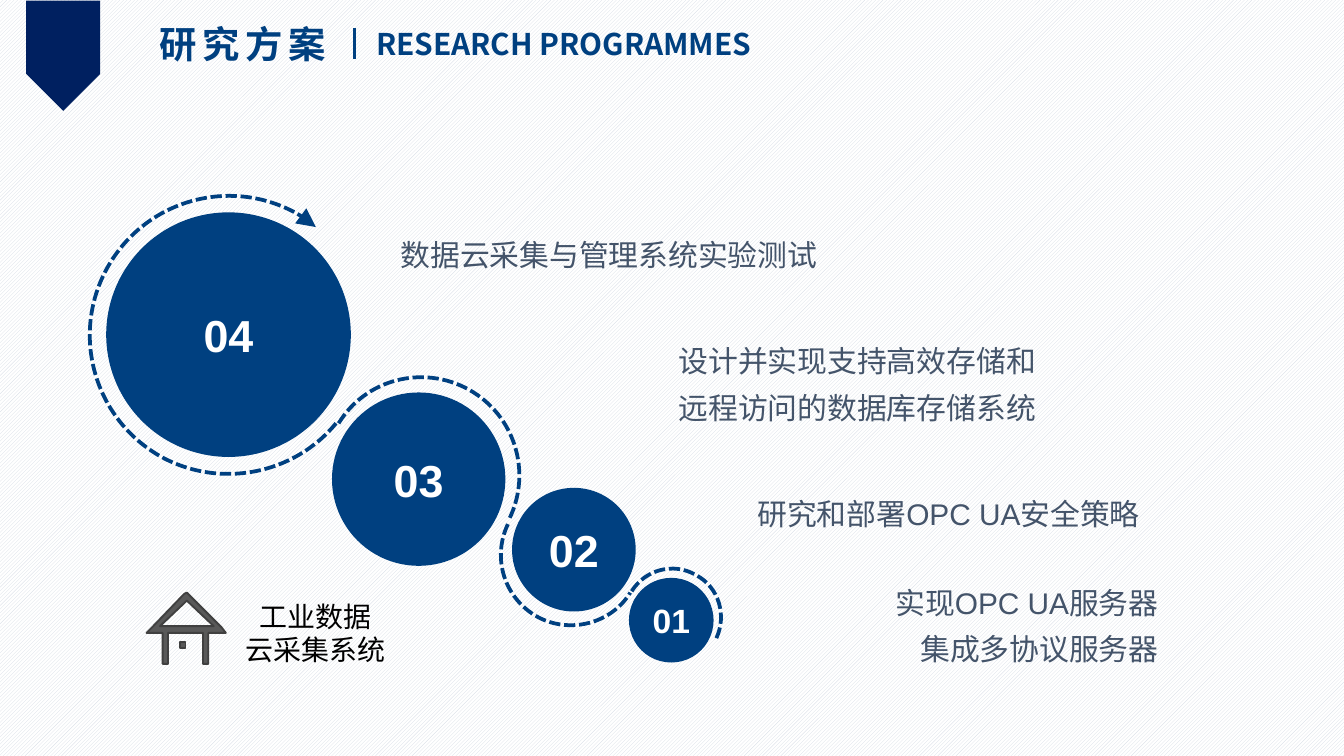
from lxml import etree
from pptx import Presentation
from pptx.dml.color import RGBColor
from pptx.enum.dml import MSO_LINE, MSO_PATTERN
from pptx.enum.shapes import MSO_CONNECTOR, MSO_SHAPE
from pptx.enum.text import MSO_ANCHOR, MSO_AUTO_SIZE, PP_ALIGN
from pptx.oxml.ns import qn
from pptx.util import Inches, Pt

BLUE, NAVY, SLATE = "004080", "002060", "44546A"
CJK = "Noto Sans CJK SC"
LEFT, CENTER, RIGHT, JUSTIFY = PP_ALIGN.LEFT, PP_ALIGN.CENTER, PP_ALIGN.RIGHT, PP_ALIGN.JUSTIFY

# Content: (label, left, top, diameter, size)
STEPS = [
    ("04", 0.79, 1.58, 1.82, 24),
    ("03", 2.47, 2.92, 1.29, 24),
    ("02", 3.81, 3.63, 0.92, 24),
    ("01", 4.68, 4.30, 0.63, 18),
]
# (lines, box, alignment)
TASKS = [
    (["数据云采集与管理系统实验测试"], (2.91, 1.64, 3.48, 0.42), JUSTIFY),
    (["研究和部署OPC UA安全策略"], (4.25, 3.57, 4.3, 0.42), RIGHT),
    (["设计并实现支持高效存储和", "远程访问的数据库存储系统"], (4.08, 2.43, 3.7, 0.77), RIGHT),
    (["实现OPC UA服务器", "集成多协议服务器"], (5.57, 4.23, 3.12, 0.77), RIGHT),
]
# Dashed arcs: a start point, then three points for each cubic curve
ARCS = [
    [(2.5, 3.15), (2.19, 3.53), (1.64, 3.64), (1.2, 3.4), (0.7, 3.12), (0.52, 2.49), (0.8, 1.99),
     (1.08, 1.49), (1.71, 1.31), (2.21, 1.59), (2.26, 1.62), (2.31, 1.65), (2.35, 1.69)],
    [(2.52, 3.15), (2.72, 2.82), (3.15, 2.71), (3.49, 2.9), (3.83, 3.09), (3.96, 3.51), (3.79, 3.86)],
    [(3.78, 3.9), (3.66, 4.15), (3.75, 4.45), (4, 4.59), (4.24, 4.72), (4.55, 4.64), (4.69, 4.41)],
    [(4.7, 4.4), (4.8, 4.24), (5.01, 4.18), (5.18, 4.28), (5.35, 4.37), (5.41, 4.58), (5.33, 4.75)],
]
HOUSE = [
    [(1.38, 4.78), (1.34, 4.78), (1.34, 4.82), (1.38, 4.82)],  # window
    [(1.19, 4.66), (1.39, 4.47), (1.59, 4.66)],  # gable
    [(1.39, 4.41), (1.37, 4.42), (1.13, 4.67), (1.09, 4.71), (1.21, 4.71), (1.21, 4.94),
     (1.25, 4.94), (1.25, 4.71), (1.51, 4.71), (1.51, 4.94), (1.55, 4.94), (1.55, 4.71),
     (1.68, 4.71), (1.65, 4.67), (1.4, 4.42)],  # roof and walls
]


def rgb(color):
    return RGBColor.from_string(color)


def inches(values):
    return [Inches(v) for v in values]


def write(tf, lines, size, color, font, align=LEFT, bold=False, spacing=1.0, track=0):
    for i, line in enumerate(lines):
        p = tf.paragraphs[0] if i == 0 else tf.add_paragraph()
        p.alignment, p.line_spacing = align, spacing
        r = p.add_run()
        r.text = line
        f = r.font
        f.name, f.size, f.bold, f.color.rgb = font, Pt(size), bold, rgb(color)
        rPr = r._r.get_or_add_rPr()
        etree.SubElement(rPr, qn("a:ea"), typeface=CJK)
        if track:
            rPr.set("spc", str(track * 100))


def frame(sp, wrap=True, insets=(0.1, 0.05), anchor=MSO_ANCHOR.TOP, grow=True):
    tf = sp.text_frame
    tf.word_wrap, tf.vertical_anchor = wrap, anchor
    tf.auto_size = MSO_AUTO_SIZE.SHAPE_TO_FIT_TEXT if grow else MSO_AUTO_SIZE.NONE
    tf.margin_left = tf.margin_right = Inches(insets[0])
    tf.margin_top = tf.margin_bottom = Inches(insets[1])
    return tf


def text_box(box, **options):
    return frame(s.shapes.add_textbox(*inches(box)), **options)


def solid_shape(kind, box, color):
    sp = s.shapes.add_shape(kind, *inches(box))
    sp.shadow.inherit = False
    sp.fill.solid()
    sp.fill.fore_color.rgb = rgb(color)
    sp.line.fill.background()
    return sp


def outline(contours, close):
    builder = s.shapes.build_freeform(*inches(contours[0][0]))
    for i, points in enumerate(contours):
        if i:
            builder.move_to(*inches(points[0]))
        builder.add_line_segments([inches(pt) for pt in points[1:]], close=close)
    sp = builder.convert_to_shape()
    sp.shadow.inherit = False
    return sp


def curve(points):
    """Turn every three line segments of an open outline into a cubic curve."""
    sp = outline([points], close=False)
    segments = list(sp._element.iter(qn("a:lnTo")))
    for i in range(0, len(segments), 3):
        cubic = etree.SubElement(segments[i].getparent(), qn("a:cubicBezTo"))
        for segment in segments[i:i + 3]:
            cubic.append(segment[0])
            segment.getparent().remove(segment)
    sp.fill.background()
    sp.line.color.rgb, sp.line.width = rgb(BLUE), Pt(2)
    sp.line.dash_style = MSO_LINE.SQUARE_DOT
    return sp


prs = Presentation()
prs.slide_width = Inches(10)
prs.slide_height = prs.slide_width * 9 // 16
s = prs.slides.add_slide(prs.slide_layouts[5])

# Background and ribbon
bg = s.background.fill
bg.patterned()
bg.pattern = MSO_PATTERN.LIGHT_UPWARD_DIAGONAL
bg.fore_color.rgb, bg.back_color.rgb = rgb("D6DCE5"), rgb("FFFFFF")
ribbon = solid_shape(MSO_SHAPE.PENTAGON, (0.06, 0.14, 0.82, 0.55), NAVY)
ribbon.rotation = 90

# Dashed arcs, with an arrowhead on the largest
arcs = [curve(points) for points in ARCS]
etree.SubElement(arcs[0].line._get_or_add_ln(), qn("a:tailEnd"), type="triangle", w="lg", len="lg")

# Numbered circles
for label, left, top, size, pt in STEPS:
    circle = solid_shape(MSO_SHAPE.OVAL, (left, top, size, size), BLUE)
    tf = frame(circle, insets=(0.07, 0.04), anchor=MSO_ANCHOR.MIDDLE, grow=False)
    write(tf, [label], pt, "FFFFFF", "Arial", CENTER, bold=True)

# Task descriptions
for lines, box, align in TASKS:
    write(text_box(box, insets=(0.07, 0.04)), lines, 16, SLATE, "Arial", align, spacing=1.3)

# Title, divider and subtitle
title = s.shapes.title
title.left, title.top, title.width, title.height = inches((1.09, 0.11, 1.48, 0.44))
write(frame(title, wrap=False), ["研究方案"], 20, BLUE, CJK, bold=True, track=3)
write(text_box((2.7, 0.14, 3.15, 0.37), wrap=False), ["RESEARCH PROGRAMMES"], 16, BLUE, CJK, bold=True)
divider = s.shapes.add_connector(MSO_CONNECTOR.STRAIGHT, *inches((2.64, 0.21, 2.64, 0.44)))
divider.line.color.rgb, divider.line.width = rgb(BLUE), Pt(1.5)
etree.SubElement(divider._element.spPr, qn("a:effectLst"))

# House icon and system name
house = outline(HOUSE, close=True)
house.fill.solid()
house.fill.fore_color.rgb = rgb("595959")
house.line.color.rgb, house.line.width = rgb("404040"), Pt(1)
write(text_box((1.73, 4.41, 1.24, 0.6), wrap=False), ["工业数据", "云采集系统"], 15, "000000", CJK, CENTER)

prs.save("out.pptx")
